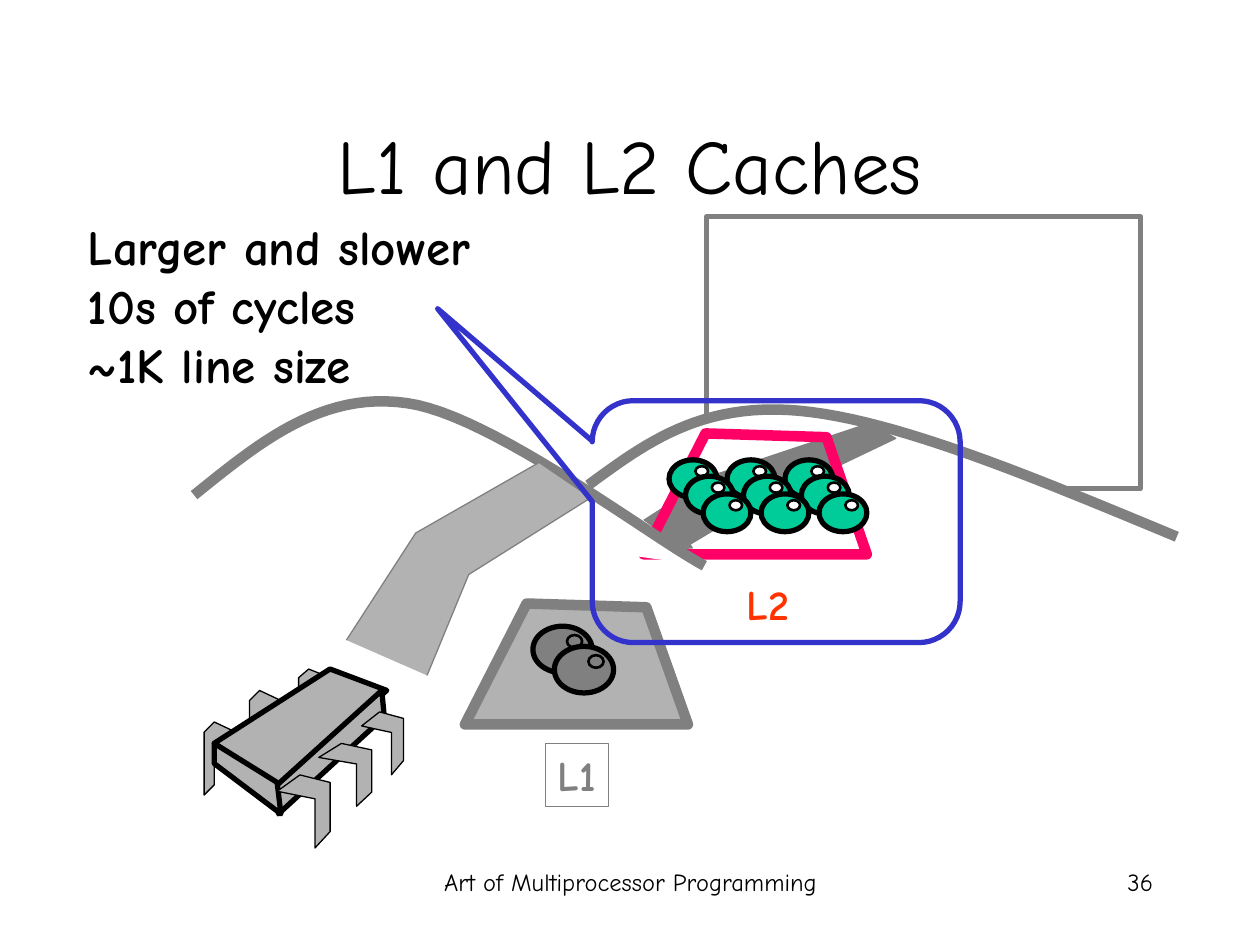
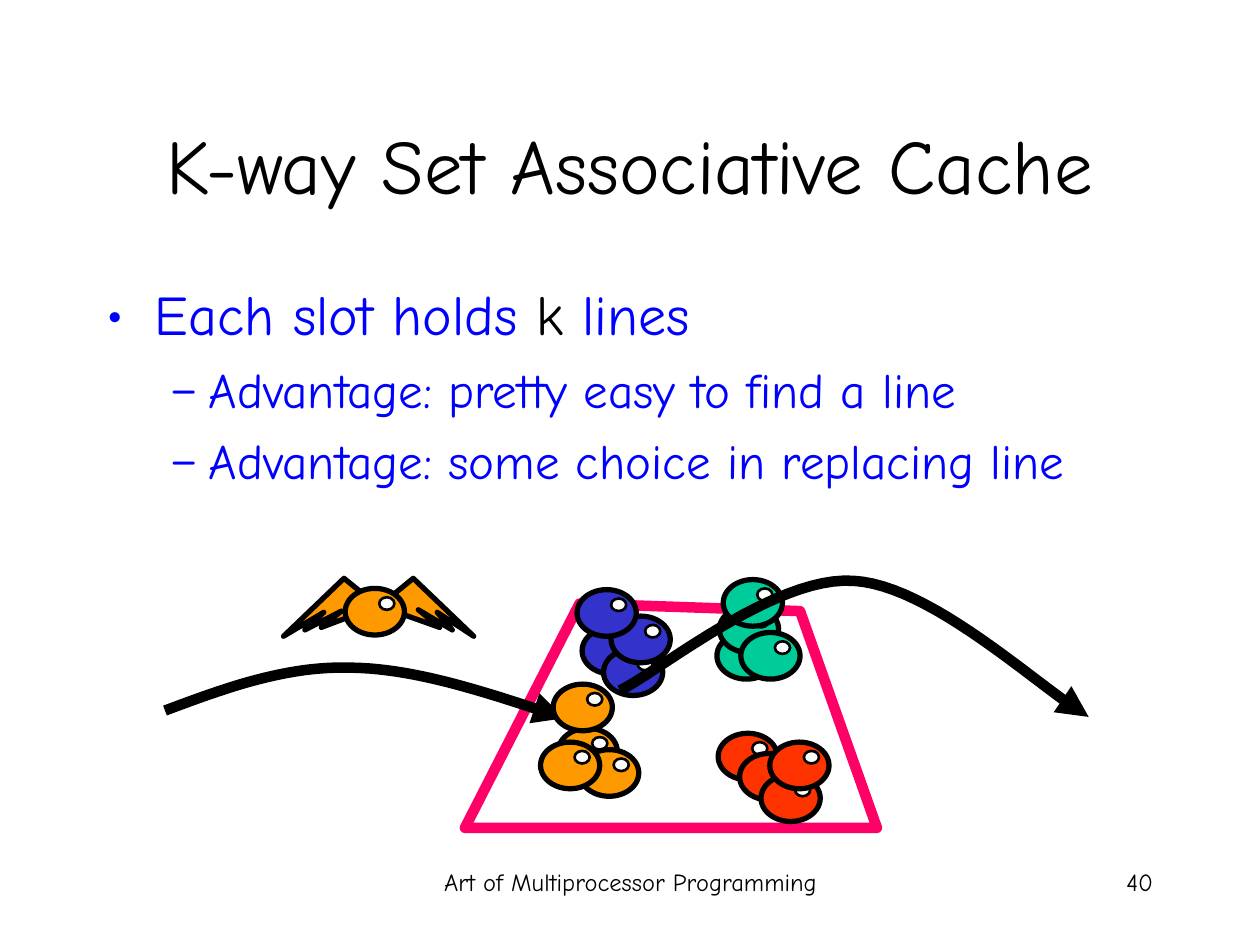
"""Builds two slides on cache levels and set associative caches."""
from lxml import etree
from pptx import Presentation
from pptx import util as u
from pptx.dml.color import RGBColor
from pptx.enum import shapes, text
from pptx.oxml import ns

PX = 9144
FONT = "Comic Neue"
COLORS = {
    "black": "000000", "white": "FFFFFF", "gray": "808080", "silver": "B2B2B2",
    "pink": "FF0066", "green": "00CC99", "navy": "3333CC", "blue": "0000FF",
    "red": "FF3300", "orange": "FF9900",
}
RGB = {name: RGBColor.from_string(value) for name, value in COLORS.items()}
KIND = shapes.MSO_SHAPE
ALIGN = text.PP_ALIGN


def draw(page, kind, points, fill, line, weight, arrow=False):
    """Draw a preset in a place, or an open, closed or curved outline through points."""
    if kind == "curve":
        samples = [points[0]]
        for start in range(0, len(points) - 1, 3):
            a, b, c, d = points[start:start + 4]
            for step in range(1, 25):
                t = step / 24
                samples.append([
                    (1 - t) ** 3 * a[i] + 3 * t * (1 - t) ** 2 * b[i]
                    + 3 * t * t * (1 - t) * c[i] + t ** 3 * d[i] for i in (0, 1)])
        points = samples
    if kind in ("open", "closed", "curve"):
        corners = [(round(x * PX), round(y * PX)) for x, y in points]
        builder = page.shapes.build_freeform(*corners[0])
        builder.add_line_segments(corners[1:], close=kind == "closed")
        shape = builder.convert_to_shape()
    else:
        shape = page.shapes.add_shape(kind, *[value * PX for value in points])
    shape.shadow.inherit = False
    if fill:
        shape.fill.solid()
        shape.fill.fore_color.rgb = RGB[fill]
    else:
        shape.fill.background()
    shape.line.color.rgb = RGB[line]
    shape.line.width = u.Pt(weight)
    if arrow:
        outline = shape.line._get_or_add_ln()
        etree.SubElement(outline, ns.qn("a:tailEnd"), type="triangle")
    return shape


def draw_ball(page, left, top, color, shine="white", small=False):
    """Draw a memory line as a ball with a highlight."""
    width, height, right, down, shine_width, shine_height = (
        (38, 30, 21, 5, 10, 8) if small else (47, 37, 27, 7, 12, 10))
    draw(page, KIND.OVAL, (left, top, width, height), color, "black", 3)
    draw(page, KIND.OVAL, (left + right, top + down, shine_width, shine_height),
         shine, "black", 1.5)


deck = Presentation()
deck.slide_width, deck.slide_height = 1000 * PX, 750 * PX
levels, ways = [deck.slides.add_slide(deck.slide_layouts[6]) for _ in range(2)]

draw(levels, KIND.RECTANGLE, (561, 172, 344, 216), None, "gray", 3)
draw(levels, "curve", [(467, 385), (512, 352), (556, 319), (634, 326),
                       (712, 333), (823, 380), (934, 426)], "white", "gray", 6)
draw(levels, "open", [(511, 413), (567, 377), (690, 336), (711, 348),
                      (598, 402), (541, 436)], "gray", "gray", 0.75, True)
draw(levels, "closed", [(560, 344), (511, 440), (688, 440), (656, 347)],
     None, "pink", 6)

rear_leg = [(25, 8), (8, 0), (0, 8), (0, 58), (8, 50), (8, 17), (25, 25)]
front_leg = [(18, 0), (0, 13), (30, 19), (30, 58), (42, 45), (42, 6)]
chip_top = [(262, 531), (170, 590), (221, 624), (307, 548)]
chip_side = [(303, 548), (220, 623), (221, 646), (305, 569)]
chip_end = [(170, 590), (170, 606), (223, 646), (220, 621)]
chip_parts = [
    (rear_leg, 162, 573, 1, 1, 0.75),
    (rear_leg, 198, 548, 1, 1, 0.75),
    (rear_leg, 237, 531, 1, 0.86, 0.75),
    (chip_top, 0, 0, 1, 1, 3),
    (chip_side, 0, 0, 1, 1, 3),
    (chip_end, 0, 0, 1, 1, 3),
    (front_leg, 220, 615, 1, 1, 0.75),
    (front_leg, 253, 590, 1, 0.86, 0.75),
    (front_leg, 287, 565, 0.79, 0.86, 0.75),
]
for outline, left, top, wide, high, weight in chip_parts:
    draw(levels, "closed", [(left + x * wide, top + y * high) for x, y in outline],
         "silver", "black", weight)

draw(levels, "curve", [(154, 393), (205, 352), (255, 310), (323, 320),
                       (390, 329), (519, 428), (559, 449)], "white", "gray", 6)
draw(levels, "open", [(275, 508), (330, 423), (428, 367), (469, 395),
                      (372, 456), (339, 536)], "silver", "gray", 0.75)
draw(levels, "closed", [(418, 479), (369, 575), (546, 575), (513, 482)],
     "silver", "gray", 6)
for left, top in [(423, 497), (440, 513)]:
    draw_ball(levels, left, top, "gray", "gray")
for row in range(3):
    for column in range(3):
        shift = 27 * row // 2
        draw_ball(levels, 531 + 46 * column + shift, 365 + shift, "green", small=True)
callout = draw(levels, KIND.ROUNDED_RECTANGULAR_CALLOUT, (470, 318, 292, 192),
               None, "navy", 3)
for index, value in enumerate((-0.92, -0.88, 0.17)):
    callout.adjustments[index] = value

draw(ways, "closed", [(460, 479), (369, 657), (696, 657), (635, 485)],
     None, "pink", 6)
wings = [
    [(306, 477), (328, 459), (376, 505), (347, 486), (359, 500), (332, 484),
     (349, 498), (301, 481)],
    [(294, 476), (273, 459), (225, 505), (257, 486), (242, 500), (271, 485),
     (255, 498), (300, 481)],
]
for wing in wings:
    draw(ways, "closed", wing, "orange", "black", 3)
draw(ways, "curve", [(131, 564), (179, 546), (228, 528), (280, 530),
                     (333, 531), (390, 551), (448, 570)], None, "black", 6, True)
balls = [
    (274, 467, "orange"), (570, 582, "red"), (443, 578, "orange"),
    (569, 502, "green"), (462, 498, "navy"), (571, 481, "green"),
    (574, 460, "green"), (588, 502, "green"), (479, 515, "navy"),
    (485, 489, "navy"), (458, 468, "navy"), (460, 595, "orange"),
    (429, 589, "orange"), (439, 543, "orange"), (587, 598, "red"),
    (604, 615, "red"), (611, 589, "red"),
]
for left, top, color in balls:
    draw_ball(ways, left, top, color)
draw(ways, "curve", [(492, 548), (523, 533), (615, 457), (677, 461),
                     (739, 464), (825, 546), (864, 569)], None, "black", 6, True)

notes = ["Larger and slower", "10s of cycles", "~1K line size"]
labels = [
    (levels, (433, 590, 50, 50), ["L1"], 24, "gray", ALIGN.LEFT),
    (levels, (583, 454, 53, 50), ["L2"], 24, "red", ALIGN.LEFT),
    (levels, (60, 167, 324, 150), notes, 28, "black", ALIGN.LEFT),
]
for page, title, number in [(levels, "L1 and L2 Caches", "36"),
                            (ways, "K-way Set Associative Cache", "40")]:
    labels += [
        (page, (75, 67, 850, 125), [title], 44, "black", ALIGN.CENTER),
        (page, (342, 683, 317, 50), ["Art of Multiprocessor Programming"], 14,
         "black", ALIGN.CENTER),
        (page, (717, 683, 208, 50), [number], 14, "black", ALIGN.RIGHT),
    ]
for page, place, lines, size, color, align in labels:
    box = page.shapes.add_textbox(*[value * PX for value in place])
    frame = box.text_frame
    frame.word_wrap = True
    if align == ALIGN.LEFT:
        frame.margin_right = 0
    if size == 44:
        frame.vertical_anchor = text.MSO_ANCHOR.MIDDLE
    if color == "gray":
        box.line.color.rgb = RGB["gray"]
        box.line.width = u.Pt(0.75)
    for index, line in enumerate(lines):
        para = frame.add_paragraph() if index else frame.paragraphs[0]
        para.alignment = align
        span = para.add_run()
        span.text = line
        span.font.name, span.font.size = FONT, u.Pt(size)
        span.font.bold = align == ALIGN.LEFT
        span.font.color.rgb = RGB[color]

points = [
    (0, "•", 38, -38, 32,
     [("Each slot holds ", "blue"), ("k", "black"), (" lines", "blue")]),
    (1, "–", 81, -31, 28, [("Advantage: pretty easy to find a line", "blue")]),
    (1, "–", 81, -31, 28, [("Advantage: some choice in replacing line", "blue")]),
]
body = ways.shapes.add_textbox(75 * PX, 217 * PX, 850 * PX, 450 * PX).text_frame
body.word_wrap = True
for index, (level, bullet, margin, indent, size, spans) in enumerate(points):
    para = body.add_paragraph() if index else body.paragraphs[0]
    para.level = level
    settings = para._p.get_or_add_pPr()
    settings.set("marL", str(margin * PX))
    settings.set("indent", str(indent * PX))
    bullet_color = etree.SubElement(settings, ns.qn("a:buClr"))
    etree.SubElement(bullet_color, ns.qn("a:srgbClr"), val=COLORS["blue"])
    etree.SubElement(settings, ns.qn("a:buFont"), typeface=FONT)
    etree.SubElement(settings, ns.qn("a:buChar"), char=bullet)
    if index:
        para.space_before = u.Pt(7)
    for words, color in spans:
        span = para.add_run()
        span.text = words
        span.font.name, span.font.size = FONT, u.Pt(size)
        span.font.color.rgb = RGB[color]

deck.save("out.pptx")
